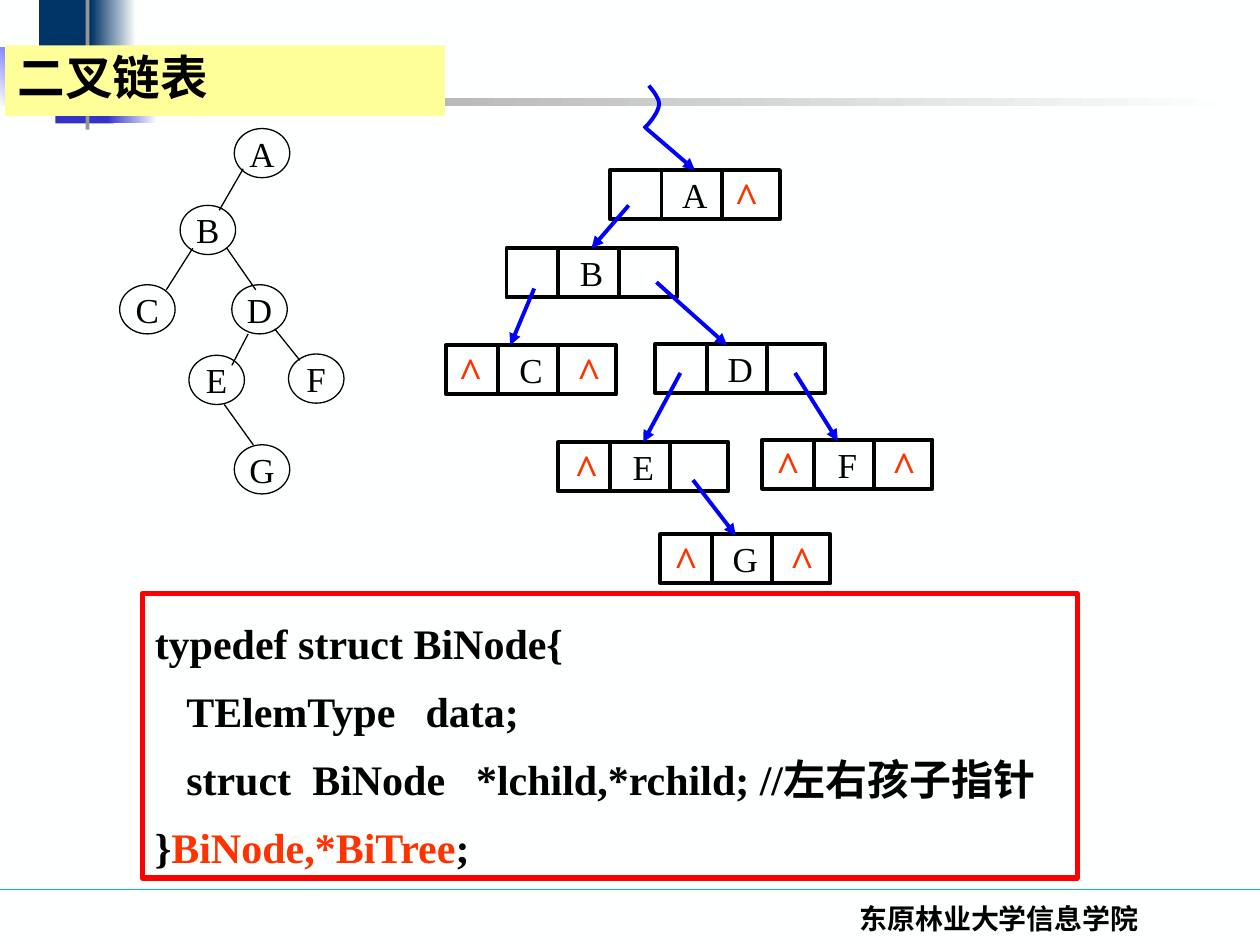
"""Build the slide on the binary linked list form of a binary tree."""
from lxml import etree
from pptx import Presentation
from pptx.dml.color import RGBColor
from pptx.enum.shapes import MSO_CONNECTOR, MSO_SHAPE
from pptx.enum.text import MSO_ANCHOR, MSO_AUTO_SIZE, PP_ALIGN
from pptx.oxml.ns import qn
from pptx.util import Inches, Pt

RECT, OVAL = MSO_SHAPE.RECTANGLE, MSO_SHAPE.OVAL
STRAIGHT = MSO_CONNECTOR.STRAIGHT
LEFT, CENTER = PP_ALIGN.LEFT, PP_ALIGN.CENTER
TOP, MIDDLE = MSO_ANCHOR.TOP, MSO_ANCHOR.MIDDLE
GROW = MSO_AUTO_SIZE.SHAPE_TO_FIT_TEXT
SERIF, SANS = "Times New Roman", "Noto Sans CJK SC"
COLORS = {
    "paper": "FEFFFF", "ink": "000000", "rule": "00CC99", "navy": "003366",
    "indigo": "3333CC", "blue": "0000FF", "grey": "969696",
    "title": "FFFF99", "frame": "FF0000", "accent": "FF3300",
}
DECORATION = [
    (0.31, 0, 0.48, 0.52, ["navy"], 0),
    (0.72, 0, 0.36, 0.52, ["navy", "paper"], 0),
    (0.44, 0.46, 0.46, 0.52, ["indigo"], 0),
    (0.85, 0.46, 0.4, 0.52, ["indigo", "paper"], 0),
    (-0.01, 0.38, 0.61, 0.46, ["paper", "blue"], 45),
    (0.68, -0.12, 0.03, 1.15, ["grey"], 0),
    (0.33, 0.78, 9.51, 0.06, ["grey", "paper"], 0),
]
TREE_NODES = {
    "A": (1.86, 1.02), "B": (1.43, 1.63), "C": (0.95, 2.26), "D": (1.84, 2.26),
    "E": (1.5, 2.82), "F": (2.29, 2.81), "G": (1.86, 3.53),
}
TREE_EDGES = [
    ((1.93, 1.34), (1.74, 1.67)), ((1.53, 1.97), (1.32, 2.3)),
    ((1.8, 1.97), (2.03, 2.3)), ((1.97, 2.65), (1.84, 2.9)),
    ((2.18, 2.61), (2.38, 2.86)), ((1.78, 3.21), (2.01, 3.53)),
]
NODE_WIDTH, NODE_HEIGHT = 1.35, 0.39
FIELD_DIVIDERS = (0.41, 0.89)
LIST_NODES = {
    "A": (4.84, 1.35, [0.89]), "B": (4.02, 1.97, []),
    "C": (3.54, 2.74, [0, 0.94]), "D": (5.2, 2.73, []),
    "E": (4.43, 3.51, [0.03]), "F": (6.05, 3.49, [0.01, 0.93]),
    "G": (5.24, 4.24, [0.01, 0.93]),
}
POINTERS = [
    ((4.99, 1.63), (4.74, 1.98), "B"), ((4.24, 2.29), (4.05, 2.74), None),
    ((5.21, 2.24), (5.77, 2.74), None), ((5.4, 2.96), (5.09, 3.5), "E"),
    ((6.31, 2.96), (6.65, 3.5), None), ((5.5, 3.81), (5.84, 4.25), None),
    ((5.13, 1.02), (5.48, 1.36), "A"),
]
ROOT_CURVE = [
    ((5.15, 0.68), (5.19, 0.73), (5.24, 0.79), (5.23, 0.84)),
    ((5.23, 0.84), (5.22, 0.9), (5.14, 1), (5.11, 1.02)),
]
CODE = [
    ([("typedef struct BiNode{", "ink")], []),
    ([("\tTElemType\tdata;", "ink")], [0.25, 2.15]),
    ([("\tstruct\tBiNode\t*lchild,*rchild; //左右孩子指针", "ink")], [0.25, 1.25, 2.55]),
    ([("}", "ink"), ("BiNode,*BiTree", "accent"), (";", "ink")], []),
]


def rgb(color):
    """Look up a named colour."""
    return RGBColor.from_string(COLORS[color])


def set_font(paragraph, size, color="ink", bold=False, face=SERIF):
    """Set the paragraph font for Latin and East Asian text."""
    font = paragraph.font
    font.size, font.bold, font.name = Pt(size), bold, face
    font.color.rgb = rgb(color)
    defaults = paragraph._p.pPr.find(qn("a:defRPr"))
    etree.SubElement(defaults, qn("a:ea"), typeface=SANS)


def set_tabs(paragraph, stops):
    """Give the paragraph left tab stops, in inches."""
    tab_list = etree.Element(qn("a:tabLst"))
    for stop in stops:
        etree.SubElement(tab_list, qn("a:tab"), pos=str(Inches(stop)), algn="l")
    paragraph._p.pPr.find(qn("a:defRPr")).addprevious(tab_list)


def write(shape, text, size, align=CENTER, anchor=MIDDLE, wrap=False, **font):
    """Write one line into a shape and return its paragraph."""
    frame = shape.text_frame
    frame.word_wrap, frame.vertical_anchor = wrap, anchor
    line = frame.paragraphs[0]
    line.text, line.alignment = text, align
    set_font(line, size, **font)
    return line


def add_block(slide, kind, box, fills=(), angle=0, outline=None, weight=0.75):
    """Add a preset shape with no fill, a solid fill or a gradient."""
    block = slide.shapes.add_shape(kind, *map(Inches, box))
    block.shadow.inherit = False
    if not fills:
        block.fill.background()
    elif len(fills) == 1:
        block.fill.solid()
        block.fill.fore_color.rgb = rgb(fills[0])
    else:
        block.fill.gradient()
        block.fill.gradient_angle = angle
        for stop, color in zip(block.fill.gradient_stops, fills):
            stop.color.rgb = rgb(color)
    if outline:
        block.line.color.rgb, block.line.width = rgb(outline), Pt(weight)
    else:
        block.line.fill.background()
    return block


def add_line(slide, start, end, color="ink", weight=0.75, arrow=False):
    """Add a straight line, with an arrowhead at its end if asked."""
    line = slide.shapes.add_connector(STRAIGHT, *map(Inches, (*start, *end)))
    line.line.color.rgb, line.line.width = rgb(color), Pt(weight)
    if arrow:
        etree.SubElement(line.line._get_or_add_ln(), qn("a:tailEnd"), type="triangle")
    etree.SubElement(line._element.spPr, qn("a:effectLst"))
    return line


def add_null_mark(slide, left, top):
    """Mark an empty pointer field."""
    mark = slide.shapes.add_textbox(*map(Inches, (left, top, 0.39, 0.5)))
    write(mark, "^", 24, color="accent", bold=True)
    mark.text_frame.auto_size = GROW


def add_list_node(slide, letter, left, top):
    """Add a three-field node and return its frame."""
    node = add_block(slide, RECT, (left, top, NODE_WIDTH, NODE_HEIGHT),
                     outline="ink", weight=2.25)
    write(node, letter, 20)
    for offset in FIELD_DIVIDERS:
        x = left + offset
        add_line(slide, (x, top), (x, top + NODE_HEIGHT), weight=2.25)
    return node


def bezier_point(points, t):
    """Return the point at t on a cubic curve, in EMU."""
    weights = ((1 - t) ** 3, 3 * t * (1 - t) ** 2, 3 * t * t * (1 - t), t ** 3)
    return tuple(Inches(sum(w * p[axis] for w, p in zip(weights, points)))
                 for axis in (0, 1))


def add_root_curve(slide, steps=10):
    """Draw the curved start of the root pointer."""
    trail = [bezier_point(part, i / steps) for part in ROOT_CURVE
             for i in range(1, steps + 1)]
    builder = slide.shapes.build_freeform(*bezier_point(ROOT_CURVE[0], 0))
    builder.add_line_segments(trail, close=False)
    curve = builder.convert_to_shape()
    curve.shadow.inherit = False
    curve.fill.background()
    curve.line.color.rgb, curve.line.width = rgb("blue"), Pt(2.25)


def add_backdrop(slide):
    """Add the background, the decoration and the footer."""
    slide.background.fill.solid()
    slide.background.fill.fore_color.rgb = rgb("paper")
    add_line(slide, (0, 7.06), (10, 7.06), color="rule")
    for *box, fills, angle in DECORATION:
        add_block(slide, RECT, box, fills, angle)
    footer = slide.shapes.add_textbox(*map(Inches, (5.86, 7.11, 4.14, 0.5)))
    school = write(footer, "东原林业大学信息学院", 16, anchor=TOP, wrap=True, bold=True)
    school.space_before = Pt(10)


def add_tree(slide):
    """Draw the binary tree."""
    for letter, (left, top) in TREE_NODES.items():
        write(add_block(slide, OVAL, (left, top, 0.44, 0.39), outline="ink"), letter, 20)
    for start, end in TREE_EDGES:
        add_line(slide, start, end)


def add_linked_list(slide):
    """Draw the linked nodes, their pointers and the null marks."""
    nodes = {letter: add_list_node(slide, letter, left, top)
             for letter, (left, top, _) in LIST_NODES.items()}
    for start, end, target in POINTERS:
        pointer = add_line(slide, start, end, "blue", 2.25, arrow=True)
        if target:
            pointer.end_connect(nodes[target], 0)
    add_root_curve(slide)
    for left, top, null_offsets in LIST_NODES.values():
        for offset in null_offsets:
            add_null_mark(slide, left + offset, top - 0.05)


def add_code(slide):
    """Add the framed type definition."""
    listing = add_block(slide, RECT, (1.13, 4.71, 7.42, 2.26), outline="frame", weight=3)
    frame = listing.text_frame
    frame.word_wrap, frame.vertical_anchor = True, TOP
    for number, (parts, stops) in enumerate(CODE):
        line = frame.add_paragraph() if number else frame.paragraphs[0]
        line.alignment, line.line_spacing = LEFT, 1.35
        set_font(line, 24, bold=True)
        set_tabs(line, stops)
        for text, color in parts:
            run = line.add_run()
            run.text, run.font.color.rgb = text, rgb(color)


def main():
    """Build and save the slide."""
    deck = Presentation()
    deck.slide_width, deck.slide_height = Inches(10), Inches(7.5)
    slide = deck.slides.add_slide(deck.slide_layouts[6])
    add_backdrop(slide)
    add_tree(slide)
    add_linked_list(slide)
    title = add_block(slide, RECT, (0.04, 0.36, 3.49, 0.56), ["title"])
    heading = write(title, "二叉链表", 27.2, align=LEFT, wrap=True, bold=True, face=SANS)
    heading.line_spacing = 0.9
    add_code(slide)
    deck.save("out.pptx")


if __name__ == "__main__":
    main()
